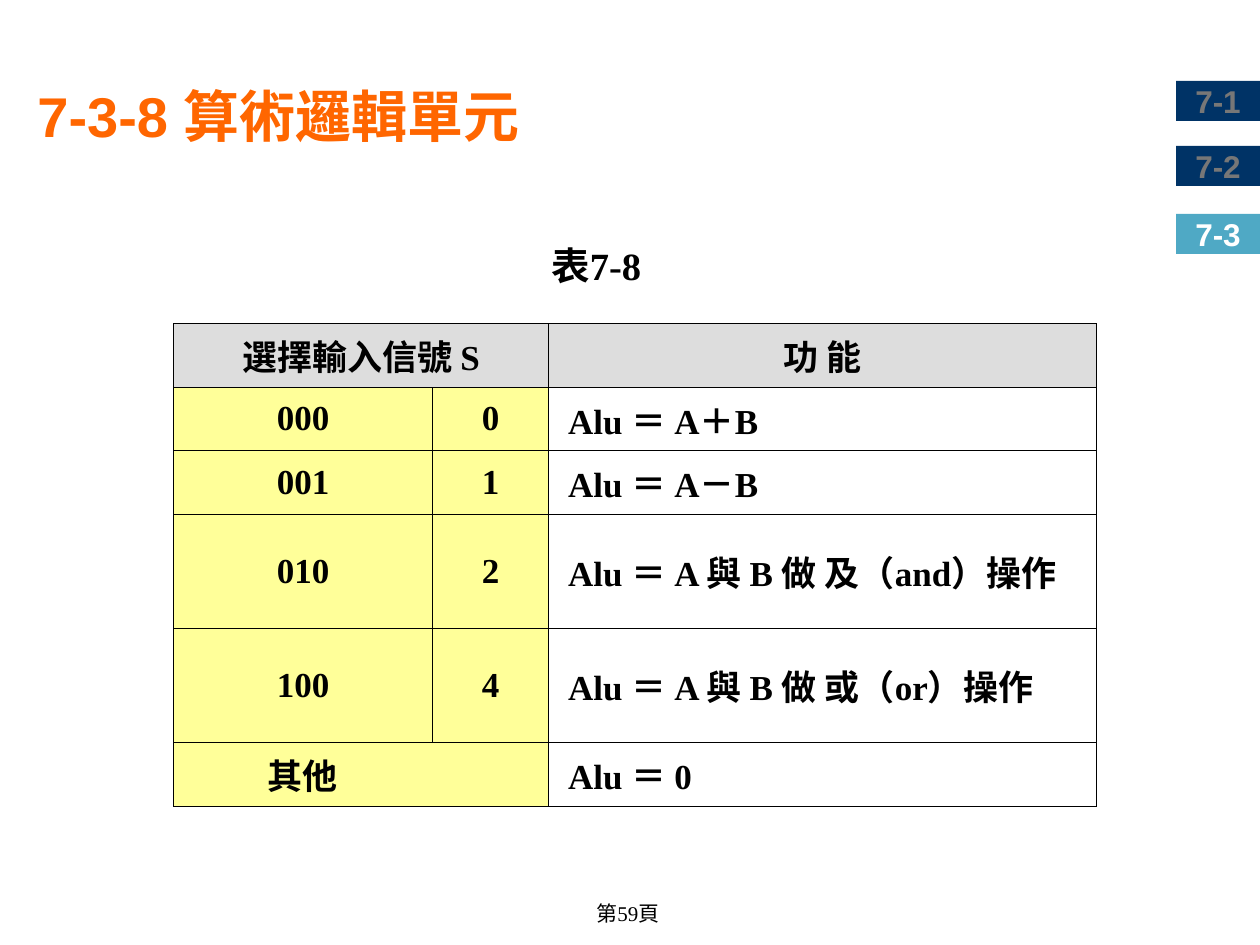
from dataclasses import dataclass

from lxml import etree
from pptx import Presentation
from pptx.dml.color import RGBColor
from pptx.enum.shapes import MSO_SHAPE
from pptx.enum.text import MSO_ANCHOR, PP_ALIGN
from pptx.oxml.ns import qn
from pptx.util import Emu, Pt

RECTANGLE = MSO_SHAPE.RECTANGLE
LEFT, CENTER = PP_ALIGN.LEFT, PP_ALIGN.CENTER
TOP, MIDDLE = MSO_ANCHOR.TOP, MSO_ANCHOR.MIDDLE

TITLE = "7-3-8 算術邏輯單元"
CAPTION = "表7-8"
PAGE = "第59頁"
TABS = [("7-1", 81), ("7-2", 146), ("7-3", 214)]
CURRENT_TAB = "7-3"
HEADER = ("選擇輸入信號 S", "", "功 能")
OPERATIONS = [
    ("000", "0", "Alu ＝ A＋B"),
    ("001", "1", "Alu ＝ A－B"),
    ("010", "2", "Alu ＝ A 與 B 做 及（and）操作"),
    ("100", "4", "Alu ＝ A 與 B 做 或（or）操作"),
    ("其他", "", "Alu ＝ 0"),
]
COLUMN_WIDTHS = (259, 116, 548)
ROW_HEIGHTS = (64, 63, 64, 114, 114, 64)


@dataclass(frozen=True)
class Theme:
    heading_font: str = "Arial"
    body_font: str = "Times New Roman"
    title: str = "FF6600"
    ink: str = "000000"
    tab: str = "003366"
    tab_text: str = "777777"
    current_tab: str = "4FA9C5"
    current_text: str = "FFFFFF"
    header_fill: str = "DDDDDD"
    signal_fill: str = "FFFF99"
    title_size: int = 32
    caption_size: int = 22
    table_size: int = 20
    tab_size: int = 18
    page_size: int = 12
    bottom_line: float = 0.96
    grid_line: float = 0.45


THEME = Theme()


def px(length):
    return Emu(round(length * 914400 / 126))


def write(frame, text, *, size, color=THEME.ink, font=THEME.body_font, bold=True,
          align=LEFT, anchor=TOP, wrap=False, indent=0):
    frame.word_wrap = wrap
    frame.vertical_anchor = anchor
    paragraph = frame.paragraphs[0]
    paragraph.alignment = align
    if indent:
        paragraph._p.get_or_add_pPr().set("indent", str(px(indent)))
    run = paragraph.add_run()
    run.text = text
    run.font.name = font
    run.font.size = Pt(size)
    run.font.bold = bold
    run.font.color.rgb = RGBColor.from_string(color)


def add_text(slide, box, text, **style):
    frame = slide.shapes.add_textbox(*map(px, box)).text_frame
    write(frame, text, **style)


def add_tab(slide, label, top):
    current = label == CURRENT_TAB
    tab = slide.shapes.add_shape(RECTANGLE, *map(px, (1176, top, 84, 40)))
    tab.shadow.inherit = False
    tab.fill.solid()
    tab.fill.fore_color.rgb = RGBColor.from_string(
        THEME.current_tab if current else THEME.tab)
    tab.line.fill.background()
    write(tab.text_frame, label, size=THEME.tab_size, font=THEME.heading_font,
          color=THEME.current_text if current else THEME.tab_text,
          align=CENTER, anchor=MIDDLE)


def set_borders(cell, widths):
    """Draw the left, right, top and bottom lines; a width of 0 hides one."""
    properties = cell._tc.get_or_add_tcPr()
    for place, (side, width) in enumerate(zip("LRTB", widths)):
        line = etree.Element(qn(f"a:ln{side}"), w=str(Pt(width)))
        if width:
            fill = etree.SubElement(line, qn("a:solidFill"))
            etree.SubElement(fill, qn("a:srgbClr"), val=THEME.ink)
        else:
            etree.SubElement(line, qn("a:noFill"))
        properties.insert(place, line)


def add_operation_table(slide):
    rows = [HEADER, *OPERATIONS]
    last_row, last_column = len(rows) - 1, len(COLUMN_WIDTHS) - 1
    box = (173.5, 323.5, sum(COLUMN_WIDTHS), sum(ROW_HEIGHTS))
    table = slide.shapes.add_table(
        len(rows), len(COLUMN_WIDTHS), *map(px, box)).table
    table.first_row = table.horz_banding = False
    for column, width in zip(table.columns, COLUMN_WIDTHS):
        column.width = px(width)
    for row, height in zip(table.rows, ROW_HEIGHTS):
        row.height = px(height)
    table.cell(0, 0).merge(table.cell(0, 1))

    for r, row in enumerate(rows):
        for c, text in enumerate(row):
            cell = table.cell(r, c)
            is_function = r > 0 and c == last_column
            if is_function:
                cell.fill.background()
            else:
                cell.fill.solid()
                cell.fill.fore_color.rgb = RGBColor.from_string(
                    THEME.signal_fill if r else THEME.header_fill)
            open_right = c == 0 and not row[1]
            open_left = c == 1 and not text
            set_borders(cell, (
                0 if open_left else THEME.grid_line,
                0 if open_right else THEME.grid_line,
                THEME.grid_line,
                THEME.bottom_line if r == last_row else THEME.grid_line,
            ))
            cell.vertical_anchor = MIDDLE
            if text:
                write(cell.text_frame, text, size=THEME.table_size, anchor=MIDDLE,
                      wrap=True, align=LEFT if is_function else CENTER,
                      indent=7 if is_function else 0)


def main():
    deck = Presentation()
    deck.slide_width, deck.slide_height = px(1260), px(945)
    slide = deck.slides.add_slide(deck.slide_layouts[6])
    add_text(slide, (548, 894, 160, 38), PAGE, size=THEME.page_size,
             bold=False, align=CENTER)
    for label, top in TABS:
        add_tab(slide, label, top)
    add_text(slide, (25, 75, 1139, 804), TITLE, size=THEME.title_size,
             color=THEME.title, font=THEME.heading_font, wrap=True)
    add_operation_table(slide)
    add_text(slide, (539, 236, 128, 59), CAPTION, size=THEME.caption_size)
    deck.save("out.pptx")


if __name__ == "__main__":
    main()
